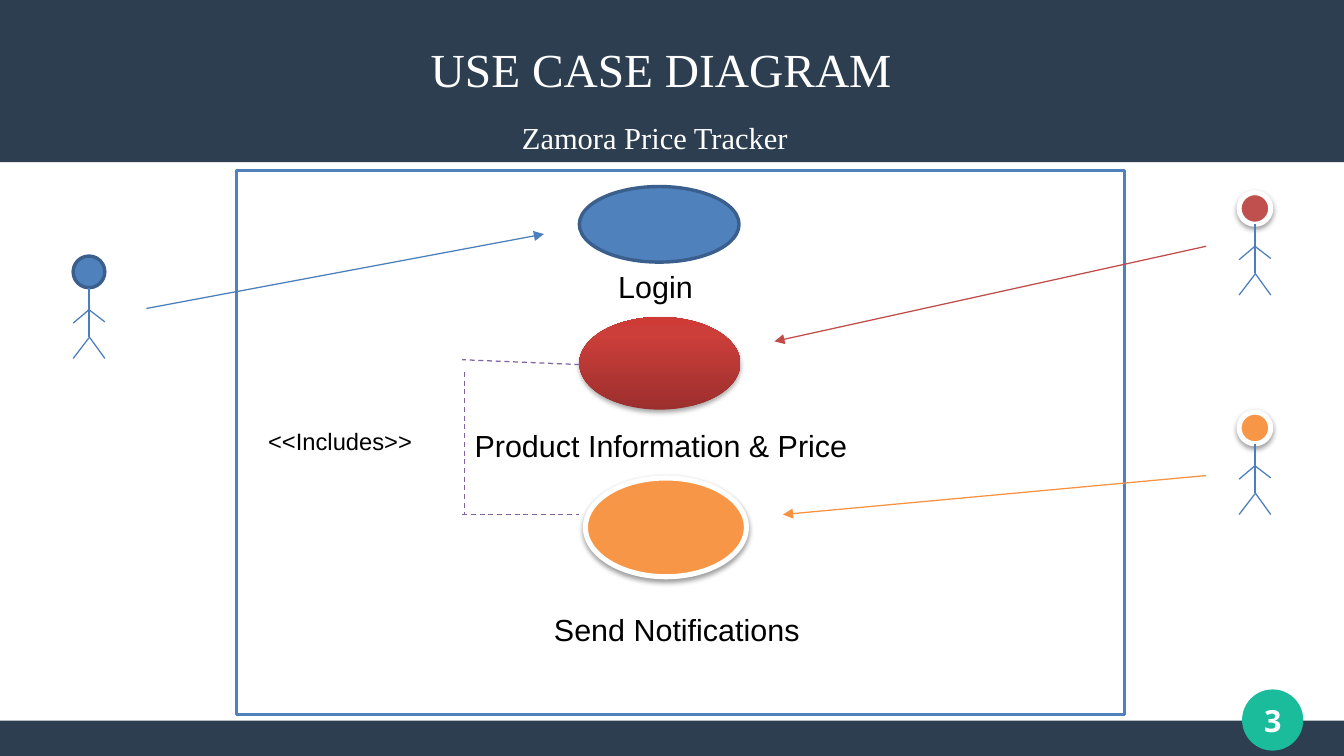
from dataclasses import dataclass

from pptx import Presentation
from pptx.dml.color import RGBColor
from pptx.enum.dml import MSO_LINE
from pptx.enum.shapes import MSO_CONNECTOR, MSO_SHAPE
from pptx.enum.text import MSO_ANCHOR, MSO_AUTO_SIZE, PP_ALIGN
from pptx.oxml import parse_xml
from pptx.oxml.ns import nsdecls, qn
from pptx.util import Inches, Pt

RECT, OVAL = MSO_SHAPE.RECTANGLE, MSO_SHAPE.OVAL
STRAIGHT, DASH = MSO_CONNECTOR.STRAIGHT, MSO_LINE.DASH
LEFT, CENTER = PP_ALIGN.LEFT, PP_ALIGN.CENTER
MIDDLE, GROW = MSO_ANCHOR.MIDDLE, MSO_AUTO_SIZE.SHAPE_TO_FIT_TEXT

Box = tuple[float, float, float, float]
Point = tuple[float, float]


@dataclass(frozen=True)
class Theme:
    navy: str = "2C3E50"
    teal: str = "1ABC9C"
    white: str = "FFFFFF"
    black: str = "000000"
    blue: str = "4F81BD"
    edge: str = "3A5F8C"
    limb: str = "4B7EBC"
    red: str = "C0504D"
    orange: str = "F79646"
    purple: str = "8064A2"
    warm: str = "BF4C48"
    amber: str = "F69240"
    fade: tuple = ((0, "9C2F2D"), (80, "CB3E3A"), (100, "CE3B37"))
    serif: str = "Times New Roman"
    sans: str = "Arial"
    badge: str = "Open Sans"
    title: int = 28
    body: int = 18
    small: int = 14
    hair: float = 0.75


@dataclass(frozen=True)
class Shade:
    alpha: int
    dist: float
    blur: float = 3.1


@dataclass(frozen=True)
class Form:
    kind: int
    box: Box
    fill: str | tuple
    line: str | None = None
    width: float = 0
    shade: Shade | None = None


@dataclass(frozen=True)
class Label:
    text: str
    box: Box
    size: int
    font: str
    color: str
    align: int = CENTER


@dataclass(frozen=True)
class Link:
    start: Point
    end: Point
    color: str
    arrow: bool = False
    dash: bool = False


@dataclass(frozen=True)
class Actor:
    left: float
    top: float
    fill: str
    line: str
    width: float
    shade: Shade | None = None


T = Theme()
SOFT, DEEP = Shade(38, 1.6), Shade(35, 1.8)

BARS = [
    Form(RECT, (0, 5.91, 11.02, 0.3), T.navy),
    Form(RECT, (0, 0, 11.02, 1.33), T.navy),
    Form(OVAL, (10.19, 5.66, 0.49, 0.49), T.teal, T.teal, 0.85),
]
FRAME = Form(RECT, (1.94, 1.4, 7.28, 4.46), T.white, T.blue, 2)
CASES = [
    Form(OVAL, (4.75, 1.53, 1.31, 0.62), T.blue, T.edge, 2),
    Form(OVAL, (4.75, 2.6, 1.32, 0.76), T.fade, shade=DEEP),
    Form(OVAL, (4.8, 3.92, 1.32, 0.81), T.orange, T.white, 3, SOFT),
]
NUMBER = Label("3", (10.04, 5.61, 0.79, 0.59), T.body, T.badge, T.white)
LABELS = [
    Label("USE CASE DIAGRAM", (1.17, 0.28, 8.5, 0.57), T.title, T.serif, T.white),
    Label("Zamora Price Tracker", (1.88, 0.93, 6.98, 0.4), T.body, T.serif, T.white),
    Label("Login", (4.46, 2.15, 1.83, 0.4), T.body, T.sans, T.black),
    Label("Product Information & Price", (3.7, 3.45, 3.44, 0.4), T.body, T.sans, T.black),
    Label("Send Notifications", (4.1, 4.96, 2.9, 0.4), T.body, T.sans, T.black),
    Label("<<Includes>>", (2.1, 3.45, 1.61, 0.34), T.small, T.sans, T.black, LEFT),
]
ACTORS = [
    Actor(0.6, 2.1, T.blue, T.edge, 2),
    Actor(10.16, 3.38, T.orange, T.white, 3, SOFT),
    Actor(10.16, 1.58, T.red, T.white, 3, SOFT),
]
HEAD = 0.26
# Limbs as offsets from the corner of the head: spine, arms, legs
LIMBS = [
    ((0.13, 0.26), (0.13, 0.66)),
    ((0.13, 0.44), (0.26, 0.54)),
    ((0.13, 0.44), (0, 0.55)),
    ((0.13, 0.66), (0.26, 0.84)),
    ((0.13, 0.67), (0, 0.84)),
]
LINKS = [
    Link((1.2, 2.53), (4.46, 1.92), T.limb, arrow=True),
    Link((9.89, 2.02), (6.35, 2.8), T.warm, arrow=True),
    Link((9.89, 3.9), (6.42, 4.22), T.amber, arrow=True),
    Link((4.75, 2.99), (3.79, 2.95), T.purple, dash=True),
    Link((3.81, 3.05), (3.81, 4.22), T.purple, dash=True),
    Link((3.79, 4.22), (4.75, 4.22), T.purple, dash=True),
]


def rgb(code: str) -> RGBColor:
    return RGBColor.from_string(code)


def add_form(slide, form: Form) -> None:
    shape = slide.shapes.add_shape(form.kind, *map(Inches, form.box))
    shape.shadow.inherit = False
    if isinstance(form.fill, str):
        shape.fill.solid()
        shape.fill.fore_color.rgb = rgb(form.fill)
    else:
        shape.fill.gradient()
        shape.fill.gradient_angle = 90
        stops = shape._element.spPr.find(".//" + qn("a:gsLst"))
        stops.clear()
        for place, code in form.fill:
            stops.append(parse_xml(
                f'<a:gs {nsdecls("a")} pos="{place * 1000}"><a:srgbClr val="{code}"/></a:gs>'))
    if form.line:
        shape.line.color.rgb = rgb(form.line)
        shape.line.width = Pt(form.width)
    else:
        shape.line.fill.background()
    if form.shade:
        shade = form.shade
        shape._element.spPr.find(qn("a:effectLst")).append(parse_xml(
            f'<a:outerShdw {nsdecls("a")} blurRad="{Pt(shade.blur)}" dist="{Pt(shade.dist)}" '
            f'dir="5400000" rotWithShape="0"><a:srgbClr val="{T.black}">'
            f'<a:alpha val="{shade.alpha * 1000}"/></a:srgbClr></a:outerShdw>'))


def add_label(slide, label: Label, badge: bool = False) -> None:
    frame = slide.shapes.add_textbox(*map(Inches, label.box)).text_frame
    frame.word_wrap = True
    if badge:
        frame.vertical_anchor = MIDDLE
        frame.margin_left = frame.margin_right = 0
        frame.margin_top = frame.margin_bottom = 0
    else:
        frame.auto_size = GROW
    para = frame.paragraphs[0]
    para.alignment = label.align
    run = para.add_run()
    run.text = label.text
    run.font.size, run.font.name = Pt(label.size), label.font
    run.font.bold = badge
    run.font.color.rgb = rgb(label.color)


def add_link(slide, link: Link) -> None:
    line = slide.shapes.add_connector(STRAIGHT, *map(Inches, link.start + link.end))
    line.line.color.rgb = rgb(link.color)
    line.line.width = Pt(T.hair)
    if link.dash:
        line.line.dash_style = DASH
    if link.arrow:
        line.line._get_or_add_ln().append(
            parse_xml(f'<a:tailEnd {nsdecls("a")} type="triangle"/>'))
    line._element.spPr.append(parse_xml(f'<a:effectLst {nsdecls("a")}/>'))


def add_actor(slide, who: Actor) -> None:
    add_form(slide, Form(OVAL, (who.left, who.top, HEAD, HEAD),
                         who.fill, who.line, who.width, who.shade))
    for start, end in LIMBS:
        a, b = ((who.left + x, who.top + y) for x, y in (start, end))
        add_link(slide, Link(a, b, T.limb))


def main() -> None:
    deck = Presentation()
    deck.slide_width, deck.slide_height = Inches(11.02), Inches(6.2)
    slide = deck.slides.add_slide(deck.slide_layouts[6])
    # Bands, page badge, system frame and use cases
    for form in BARS + [FRAME] + CASES:
        add_form(slide, form)
    # Wording
    add_label(slide, NUMBER, badge=True)
    for label in LABELS:
        add_label(slide, label)
    # Actors and their relations
    for who in ACTORS:
        add_actor(slide, who)
    for link in LINKS:
        add_link(slide, link)
    deck.save("out.pptx")


if __name__ == "__main__":
    main()
